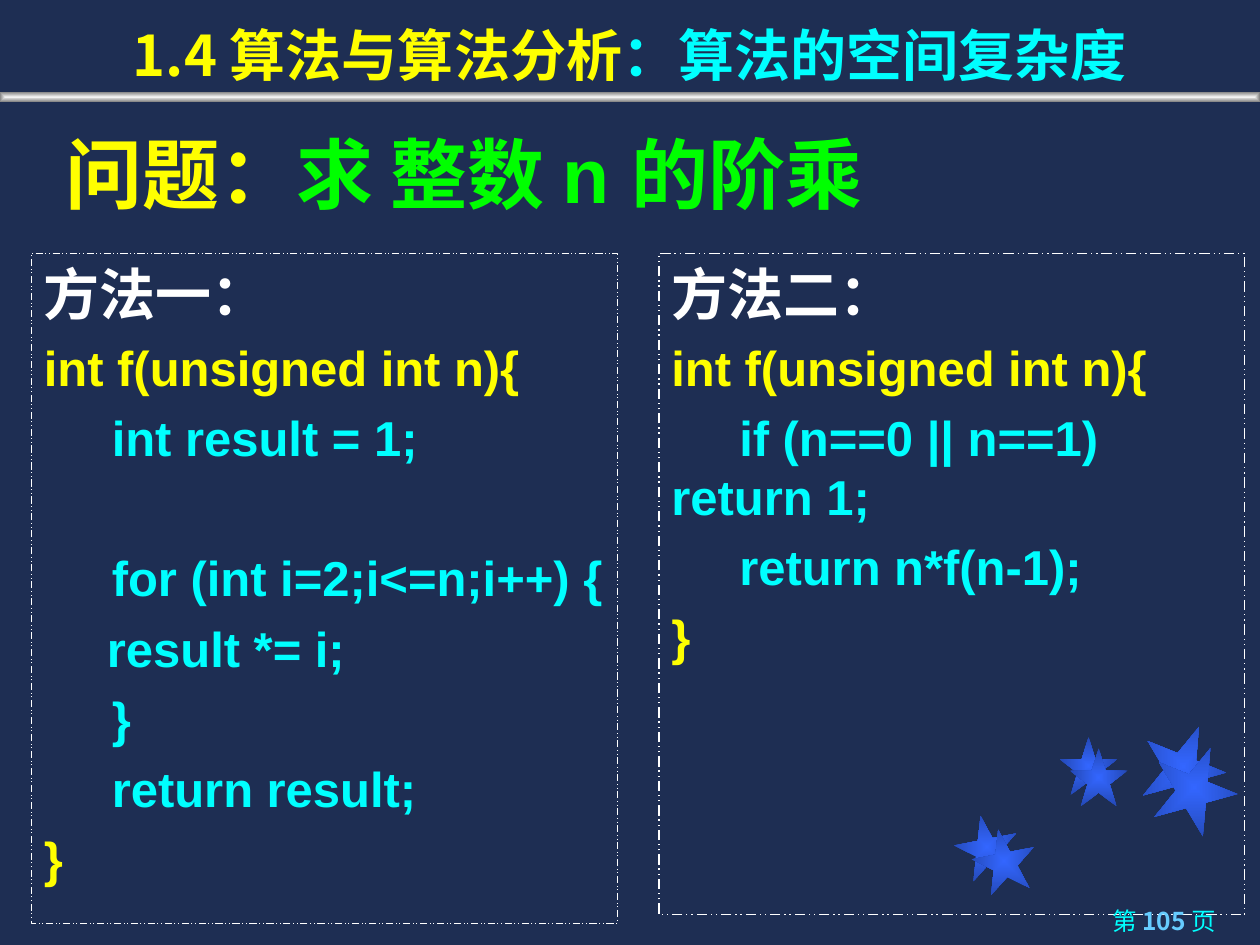
import collections

import lxml.etree
import pptx
import pptx.dml.color
import pptx.enum.dml
import pptx.enum.shapes
import pptx.enum.text
import pptx.oxml.ns
import pptx.util

Box = collections.namedtuple("Box", "left top width height")
PAGE = Box(0, 0, 10, 7.5)
ALIGN = pptx.enum.text.PP_ALIGN
ANCHOR = pptx.enum.text.MSO_ANCHOR
SHAPE = pptx.enum.shapes.MSO_SHAPE
CJK = "Noto Sans CJK SC"
YELLOW, CYAN, GREEN, WHITE = "FFFF00", "00FFFF", "00FF00", "FFFFFF"

# Each method: its heading, then lines of code with their colours
ITERATIVE = [
    ("方法一：", WHITE),
    ("int f(unsigned int n){", YELLOW),
    ("     int result = 1;", CYAN),
    ("\t", CYAN),
    ("     for (int i=2;i<=n;i++) {", CYAN),
    ("\tresult *= i;", CYAN),
    ("     }", CYAN),
    ("     return result;", CYAN),
    ("}", YELLOW),
]
RECURSIVE = [
    ("方法二：", WHITE),
    ("int f(unsigned int n){", YELLOW),
    ("     if (n==0 || n==1) \treturn 1;", CYAN),
    ("     return n*f(n-1);", CYAN),
    ("}", YELLOW),
]


def rgb(value):
    return pptx.dml.color.RGBColor.from_string(value)


def part(box, x, y, width, height):
    """A box given as shares of another box."""
    return Box(box.left + x * box.width, box.top + y * box.height,
               width * box.width, height * box.height)


def emu(box):
    return [pptx.util.Inches(length) for length in box]


def set_font(font, size, face, bold=True):
    font.size = pptx.util.Pt(size)
    font.bold = bold
    font.name = face
    east_asian = lxml.etree.SubElement(font._rPr, pptx.oxml.ns.qn("a:ea"))
    east_asian.set("typeface", CJK)


def add_runs(paragraph, runs):
    for text, color in runs:
        run = paragraph.add_run()
        run.text = text
        run.font.color.rgb = rgb(color)


def add_text_box(slide, box):
    frame = slide.shapes.add_textbox(*emu(box)).text_frame
    frame.word_wrap = True
    return frame


def add_glowing_shape(slide, preset, box, center, edge, rotation=0):
    """A shape whose gradient runs from its centre to its edge."""
    shape = slide.shapes.add_shape(preset, *emu(box))
    shape.rotation = rotation
    shape.shadow.inherit = False
    shape.line.fill.background()
    shape.fill.gradient()
    for stop, color in zip(shape.fill.gradient_stops, (center, edge)):
        stop.color.rgb = rgb(color)
    linear = shape._element.spPr.find(".//" + pptx.oxml.ns.qn("a:lin"))
    radial = lxml.etree.Element(pptx.oxml.ns.qn("a:path"), path="shape")
    focus = lxml.etree.SubElement(radial, pptx.oxml.ns.qn("a:fillToRect"))
    for side in "ltrb":
        focus.set(side, "50000")
    linear.getparent().replace(linear, radial)


def add_stars(slide, box):
    """Three pairs of overlapping stars: centres, size, rotation."""
    pairs = [
        ([(7.83, 6.72), (7.97, 6.83)], 0.5, 349),
        ([(8.64, 6.08), (8.72, 6.17)], 0.46, 0),
        ([(9.39, 6.08), (9.48, 6.25)], 0.67, 22),
    ]
    for layer in range(2):
        for centers, size, rotation in pairs:
            x, y = centers[layer]
            star = Box(box.left + x - size / 2, box.top + y - size / 2,
                       size, size)
            add_glowing_shape(slide, SHAPE.STAR_5_POINT, star,
                              "3366FF", "2449B6", rotation)


def add_header(slide, box):
    """Title with a metallic rule beneath it."""
    add_glowing_shape(slide, SHAPE.RECTANGLE, part(box, 0, 0.9, 1, 0.1),
                      "F2F2F2", "808080")
    title = slide.shapes.title
    title.left, title.top, title.width, title.height = emu(
        part(box, 0, 0, 1, 0.926))
    frame = title.text_frame
    frame.vertical_anchor = ANCHOR.BOTTOM
    heading = frame.paragraphs[0]
    heading.alignment = ALIGN.CENTER
    set_font(heading.font, 32, CJK)
    add_runs(heading, [("1.4 算法与算法分析", YELLOW),
                       ("：算法的空间复杂度", CYAN)])


def add_question(slide, box):
    question = add_text_box(slide, box).paragraphs[0]
    set_font(question.font, 44, "Arial")
    add_runs(question, [("问题：", YELLOW), ("求 整数 n 的阶乘", GREEN)])


def add_method(slide, box, lines, border):
    """Dashed frame holding a heading and its code."""
    panel = slide.shapes.add_shape(SHAPE.RECTANGLE, *emu(box))
    panel.shadow.inherit = False
    panel.fill.background()
    panel.line.color.rgb = rgb(WHITE)
    panel.line.width = pptx.util.Pt(border)
    panel.line.dash_style = pptx.enum.dml.MSO_LINE.DASH_DOT_DOT
    frame = panel.text_frame
    frame.word_wrap = True
    frame.vertical_anchor = ANCHOR.TOP
    for index, line in enumerate(lines):
        paragraph = frame.add_paragraph() if index else frame.paragraphs[0]
        paragraph.alignment = ALIGN.LEFT
        if index:
            paragraph.space_before = pptx.util.Pt(6.4)
        set_font(paragraph.font, 28 if index else 32, "Arial")
        add_runs(paragraph, [line])


def add_page_number(slide, box):
    footer = add_text_box(slide, box).paragraphs[0]
    footer.alignment = ALIGN.RIGHT
    set_font(footer.font, 14, CJK, bold=False)
    add_runs(footer, [("第 ", CYAN), ("105 ", "66CCFF"), ("页", CYAN)])
    footer.runs[1].font.bold = True


def main():
    deck = pptx.Presentation()
    deck.slide_width = pptx.util.Inches(PAGE.width)
    deck.slide_height = pptx.util.Inches(PAGE.height)
    slide = deck.slides.add_slide(deck.slide_layouts[5])
    slide.background.fill.solid()
    slide.background.fill.fore_color.rgb = rgb("1E2E53")

    # Shares of the page are rounded to two decimals of an inch
    add_stars(slide, PAGE)
    add_header(slide, part(PAGE, 0, 0, 1, 0.108))
    add_method(slide, part(PAGE, 0.025, 0.268, 0.465, 0.709), ITERATIVE, 0.5)
    add_method(slide, part(PAGE, 0.523, 0.268, 0.465, 0.7), RECURSIVE, 0.75)
    add_page_number(slide, part(PAGE, 0.712, 0.952, 0.263, 0.048))
    add_question(slide, part(PAGE, 0.042, 0.127, 0.906, 0.19))
    deck.save("out.pptx")


if __name__ == "__main__":
    main()
